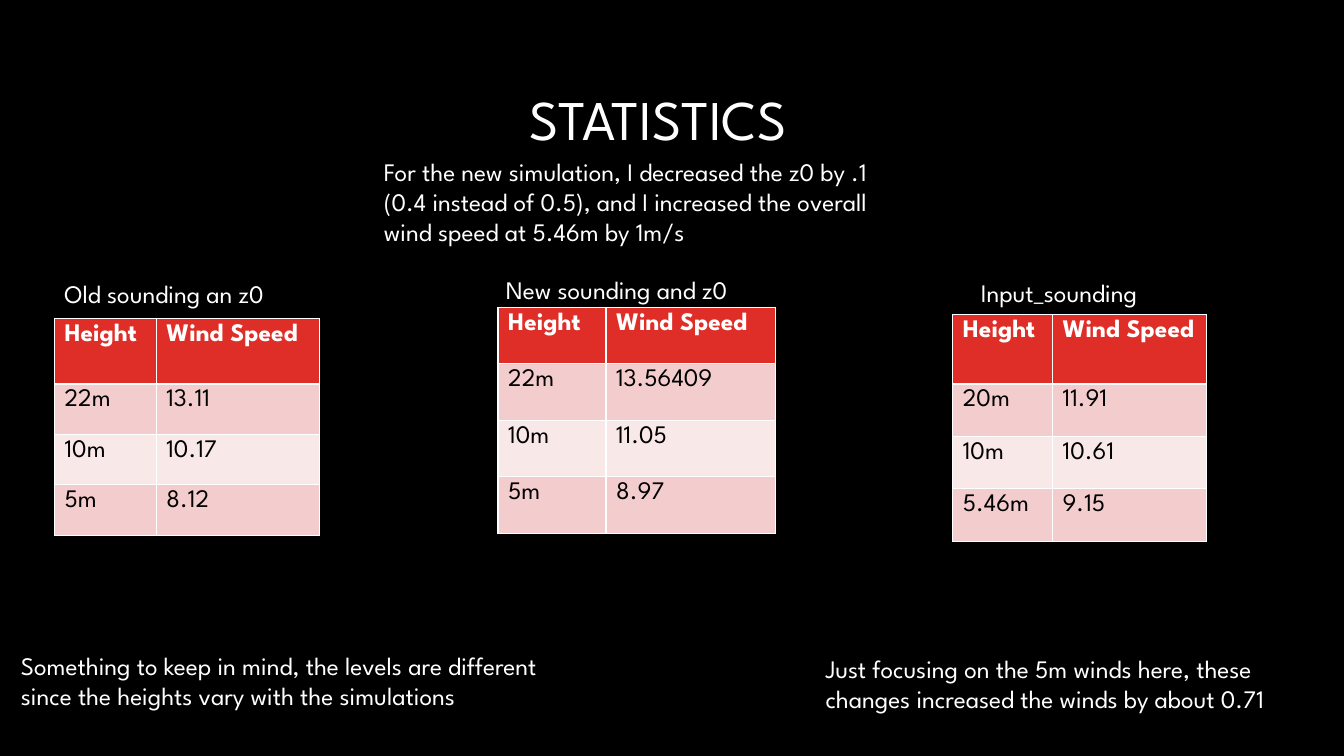
from pptx import Presentation
from pptx.dml.color import RGBColor
from pptx.enum.text import MSO_ANCHOR, PP_ALIGN
from pptx.util import Inches, Pt

WHITE, BLACK, RED = "FFFFFF", "000000", "DF2E28"
ROW_TINTS = ["F3CDCD", "F9E8E8"]


def color(hex_code):
    return RGBColor.from_string(hex_code)


def write(frame, text, ink=WHITE, size=18, bold=False):
    """Fill a text frame with one styled paragraph and return it."""
    frame.word_wrap = True
    para = frame.paragraphs[0]
    para.text = text
    font = para.font
    font.name, font.size, font.bold = "League Spartan", Pt(size), bold
    font.color.rgb = color(ink)
    return para


deck = Presentation()
deck.slide_width, deck.slide_height = Inches(13.33), Inches(7.5)
page = deck.slides.add_slide(deck.slide_layouts[5])
page.background.fill.solid()
page.background.fill.fore_color.rgb = color(BLACK)

# Title
title = page.shapes.title
title.left, title.top = Inches(-1.52), Inches(0.51)
title.width, title.height = Inches(9.42), Inches(1.41)
title.text_frame.vertical_anchor = MSO_ANCHOR.MIDDLE
heading = write(title.text_frame, "STATISTICS", size=40)
heading.alignment = PP_ALIGN.RIGHT
heading.line_spacing = 0.9

# Notes and table captions: left, top, width, height, text
texts = [
    (3.71, 1.5, 5.31, 1.01, "For the new simulation, I decreased the z0 by .1 (0.4 instead of 0.5), "
                            "and I increased the overall wind speed at 5.46m by 1m/s"),
    (0.11, 6.4, 5.54, 1.01, "Something to keep in mind, the levels are different "
                            "since the heights vary with the simulations"),
    (8.09, 6.43, 5.24, 1.01, "Just focusing on the 5m winds here, these changes "
                             "increased the winds by about 0.71"),
    (0.54, 2.71, 2.65, 0.4, "Old sounding an z0"),
    (4.92, 2.67, 2.88, 0.4, "New sounding and z0"),
    (9.63, 2.7, 2.17, 0.4, "Input_sounding"),
]
for left, top, width, height, text in texts:
    box = page.shapes.add_textbox(Inches(left), Inches(top), Inches(width), Inches(height))
    write(box.text_frame, text)

# Wind tables: left, top, column widths, header height, row height, readings
wind_tables = [
    (0.54, 3.16, (1.01, 1.62), 0.65, 0.5,
     [("22m", "13.11"), ("10m", "10.17"), ("5m", "8.12")]),
    (4.94, 3.05, (1.07, 1.68), 0.56, 0.56,
     [("22m", "13.56409"), ("10m", "11.05"), ("5m", "8.97")]),
    (9.45, 3.12, (0.99, 1.53), 0.69, 0.52,
     [("20m", "11.91"), ("10m", "10.61"), ("5.46m", "9.15")]),
]
for left, top, widths, header_height, row_height, readings in wind_tables:
    rows = [("Height", "Wind Speed"), *readings]
    table = page.shapes.add_table(
        len(rows), len(widths), Inches(left), Inches(top), Inches(sum(widths)),
        Inches(header_height + row_height * len(readings))).table
    for column, width in zip(table.columns, widths):
        column.width = Inches(width)
    for r, values in enumerate(rows):
        header = r == 0
        table.rows[r].height = Inches(header_height if header else row_height)
        for c, value in enumerate(values):
            cell = table.cell(r, c)
            cell.fill.solid()
            cell.fill.fore_color.rgb = color(RED if header else ROW_TINTS[(r - 1) % 2])
            write(cell.text_frame, value, ink=WHITE if header else BLACK, bold=header)

deck.save("out.pptx")
